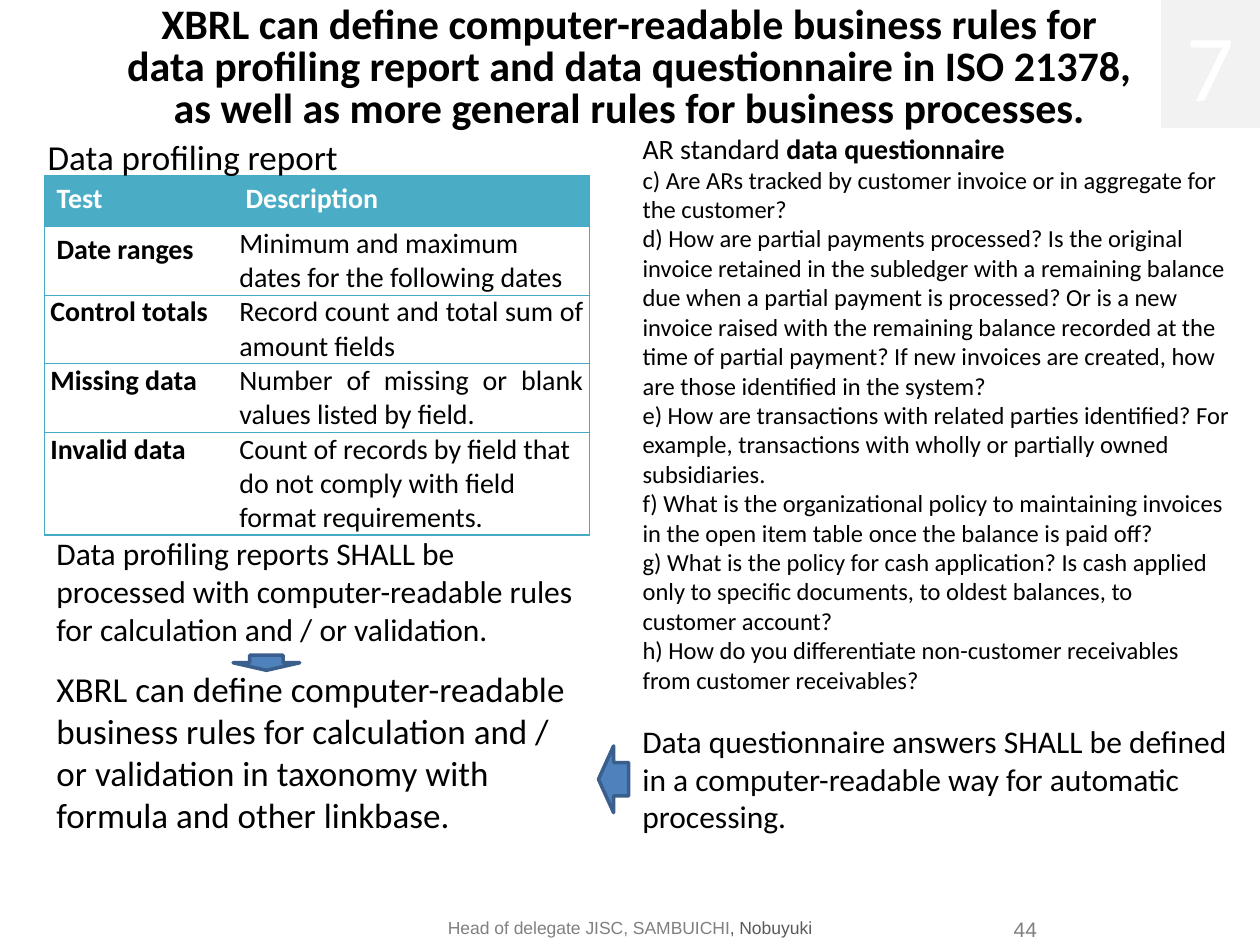
"""Build the slide on business rules for data profiling and questionnaires."""
from dataclasses import dataclass

from lxml.etree import SubElement
from pptx import Presentation
from pptx.dml.color import RGBColor as Rgb
from pptx.enum.shapes import MSO_SHAPE as Geo
from pptx.enum.text import MSO_ANCHOR as Anchor, MSO_AUTO_SIZE as Auto, PP_ALIGN as Align
from pptx.oxml.ns import qn
from pptx.util import Inches, Pt


@dataclass(frozen=True)
class Theme:
    face: str = "Calibri"
    foot: str = "Arial"
    ink: str = "000000"
    white: str = "FFFFFF"
    grey: str = "808080"
    dark: str = "595959"
    pale: str = "F2F2F2"
    teal: str = "4BACC6"
    rule: str = "46AAC5"
    blue: str = "4F81BD"
    edge: str = "3A5F8C"
    head: int = 24
    large: int = 20
    mid: int = 18
    cell: int = 16
    list: int = 14
    small: int = 12
    tiny: int = 10
    badge: int = 54


T = Theme()


def write(frame, paras, size, color=T.ink, face=T.face, bold=False, align=Align.LEFT, pad=(0.1, 0.05, 0.1, 0.05), top=Anchor.TOP):
    """Fill a text frame with paragraphs, each a list of (text, changes)."""
    left, up, right, low = map(Inches, pad)
    form = dict(word_wrap=True, auto_size=Auto.NONE, vertical_anchor=top,
                margin_left=left, margin_top=up, margin_right=right, margin_bottom=low)
    for key, val in form.items():
        setattr(frame, key, val)
    for i, runs in enumerate(paras):
        para = frame.add_paragraph() if i else frame.paragraphs[0]
        for key, val in dict(alignment=align, space_before=Pt(0)).items():
            setattr(para, key, val)
        for text, diff in runs:
            run = para.add_run()
            run.text = text
            look = dict(name=face, size=Pt(size), bold=bold, color=color) | diff
            run.font.color.rgb = Rgb.from_string(look.pop("color"))
            for key, val in look.items():
                setattr(run.font, key, val)


def draw(kind, box, fill, line, width):
    """Add a filled and outlined preset shape."""
    shape = slide.shapes.add_shape(kind, *map(Inches, box))
    shape.shadow.inherit = False
    shape.fill.solid()
    shape.fill.fore_color.rgb = Rgb.from_string(fill)
    shape.line.color.rgb = Rgb.from_string(line)
    shape.line.width = Pt(width)
    return shape


deck = Presentation()
deck.slide_width, deck.slide_height = Inches(10), Inches(7.5)
slide = deck.slides.add_slide(deck.slide_layouts[1])
title, body = slide.placeholders
for item, box in ((title, (0.98, 0, 8.03, 1.05)), (body, (5, 0.99, 4.88, 4.61))):
    for key, val in zip(("left", "top", "width", "height"), box):
        setattr(item, key, Inches(val))

head = ("XBRL can define computer-readable business rules for data profiling report and data "
        "questionnaire in ISO 21378, as well as more general rules for business processes.")
write(title.text_frame, [[(head, {})]], T.head, bold=True, align=Align.CENTER,
      pad=(0, 0, 0, 0), top=Anchor.BOTTOM)
title.text_frame.paragraphs[0].line_spacing = Pt(24)

asks = [
    "c) Are ARs tracked by customer invoice or in aggregate for the customer?",
    "d) How are partial payments processed? Is the original invoice retained in the subledger "
    "with a remaining balance due when a partial payment is processed? Or is a new invoice "
    "raised with the remaining balance recorded at the time of partial payment? If new invoices "
    "are created, how are those identified in the system?",
    "e) How are transactions with related parties identified? For example, transactions with "
    "wholly or partially owned subsidiaries.",
    "f) What is the organizational policy to maintaining invoices in the open item table once "
    "the balance is paid off?",
    "g) What is the policy for cash application? Is cash applied only to specific documents, "
    "to oldest balances, to customer account?",
    "h) How do you differentiate non-customer receivables from customer receivables?",
]
lead = dict(size=Pt(T.cell))
write(body.text_frame, [[("AR standard ", lead), ("data questionnaire", lead | dict(bold=True))]]
      + [[(ask, {})] for ask in asks], T.list)
for para in body.text_frame.paragraphs:
    props = para._p.get_or_add_pPr()
    props.set("marL", "0")
    props.set("indent", "0")
    SubElement(props, qn("a:buNone"))

rows = [
    ("Test", "Description"),
    ("Date ranges", "Minimum and maximum dates for the following dates"),
    ("Control totals", "Record count and total sum of amount fields"),
    ("Missing data", "Number of missing or blank values listed by field."),
    ("Invalid data", "Count of records by field that do not comply with field format requirements."),
]
table = slide.shapes.add_table(len(rows), 2, *map(Inches, (0.35, 1.39, 4.33, 2.05))).table
for col, wide in zip(table.columns, (1.5, 2.83)):
    col.width = Inches(wide)
for r, row in enumerate(rows):
    table.rows[r].height = Inches(0.41)
    for c, text in enumerate(row):
        cell = table.cell(r, c)
        roomy = r == 0 or (r, c) == (1, 0)
        pad = (0.1, 0.05, 0.1, 0.05) if roomy else (0.05, 0, 0.05, 0)
        just = r in (2, 3) or (r, c) == (4, 0)
        write(cell.text_frame, [[(text, {})]], T.cell, T.ink if r else T.white,
              bold=r == 0 or c == 0, align=Align.JUSTIFY if just else Align.LEFT)
        for key, val in zip(("left", "top", "right", "bottom"), pad):
            setattr(cell, "margin_" + key, Inches(val))
        cell.vertical_anchor = Anchor.TOP
        props = cell._tc.get_or_add_tcPr()
        for side in ("lnL", "lnR", "lnT", "lnB"):
            line = SubElement(props, qn("a:" + side), w=str(Pt(0.75)))
            if side == ("lnR", "lnL")[c]:
                SubElement(line, qn("a:noFill"))
            else:
                paint = SubElement(line, qn("a:solidFill"))
                SubElement(paint, qn("a:srgbClr"), val=T.rule)
        cell.fill.solid()
        cell.fill.fore_color.rgb = Rgb.from_string(T.white if r else T.teal)

notes = [
    ((0.28, 1.03, 2.52, 0.44), T.large, "Data profiling report"),
    ((5, 5.68, 4.88, 1.01), T.mid, "Data questionnaire answers SHALL be defined in a "
     "computer-readable way for automatic processing."),
    ((0.35, 4.19, 4.33, 1.01), T.mid, "Data profiling reports SHALL be processed with "
     "computer-readable rules for calculation and / or validation."),
    ((0.35, 5.25, 4.33, 1.78), T.large, "XBRL can define computer-readable business rules for "
     "calculation and / or validation in taxonomy with formula and other linkbase."),
]
for box, size, text in notes:
    write(slide.shapes.add_textbox(*map(Inches, box)).text_frame, [[(text, {})]], size)

badge = draw(Geo.RECTANGLE, (9.22, 0, 0.78, 1.01), T.pale, T.pale, 0.75)
write(badge.text_frame, [[("7", {})]], T.badge, T.white, align=Align.CENTER, top=Anchor.MIDDLE)
draw(Geo.DOWN_ARROW, (1.85, 5.2, 0.53, 0.12), T.blue, T.edge, 2)
draw(Geo.LEFT_ARROW, (4.75, 5.92, 0.24, 0.53), T.blue, T.edge, 2)

foot = slide.shapes.add_textbox(*map(Inches, (2.6, 7.23, 4.8, 0.27)))
write(foot.text_frame, [[("Head of delegate JISC, SAMBUICHI", {}), (", Nobuyuki", dict(color=T.dark))]],
      T.tiny, T.grey, T.foot, align=Align.CENTER, top=Anchor.MIDDLE)
page = slide.shapes.add_textbox(*map(Inches, (7.68, 7.19, 0.55, 0.31)))
write(page.text_frame, [[("44", {})]], T.small, T.grey, T.foot, align=Align.RIGHT,
      pad=(0.08, 0.08, 0, 0))

deck.save("out.pptx")
